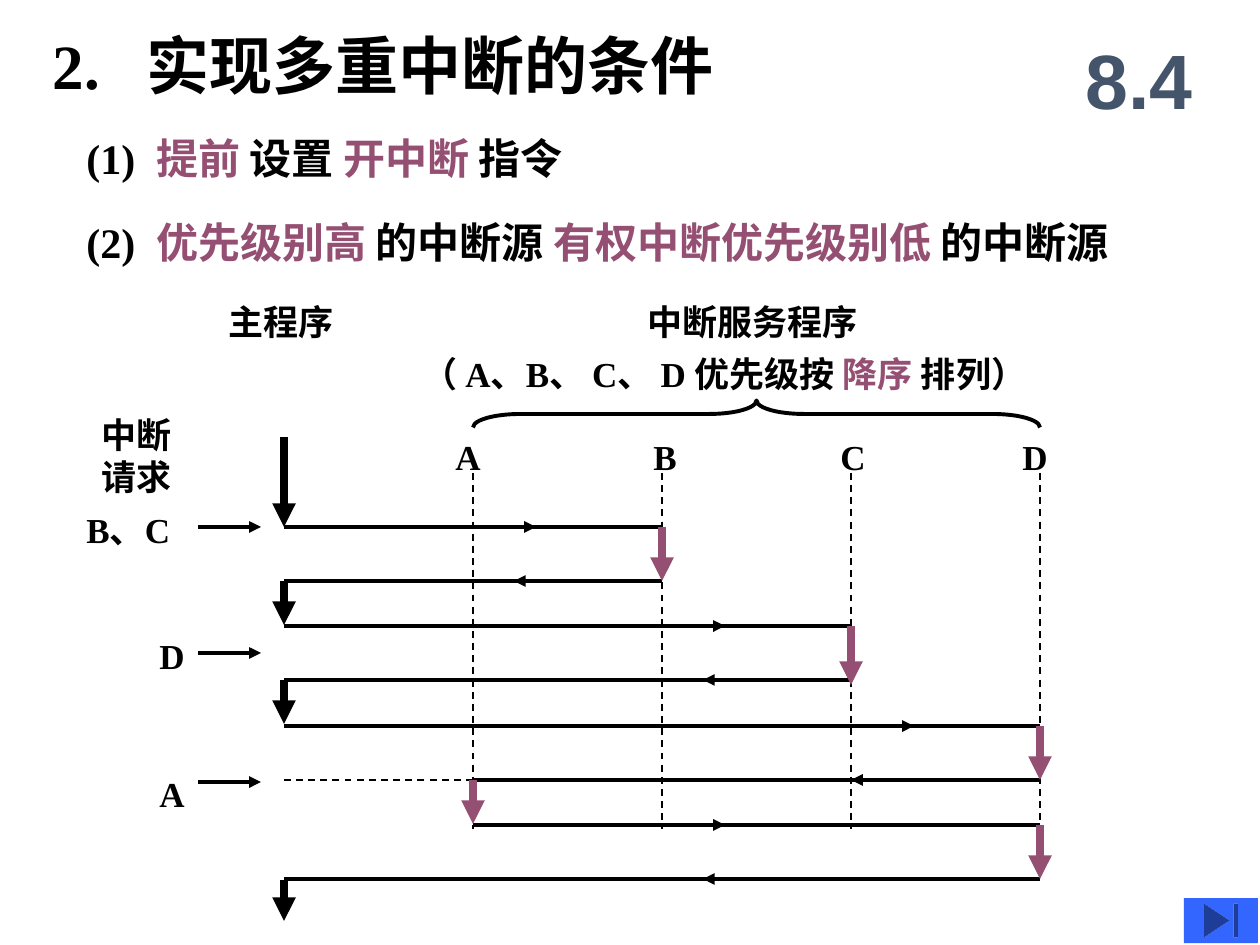
from lxml.etree import SubElement
from pptx import Presentation
from pptx.dml.color import RGBColor
from pptx.enum.dml import MSO_LINE
from pptx.enum.shapes import MSO_CONNECTOR, MSO_SHAPE
from pptx.enum.text import MSO_ANCHOR, MSO_AUTO_SIZE, PP_ALIGN
from pptx.oxml.ns import qn
from pptx.util import Pt

COLORS = {"ink": "000000", "accent": "954F72", "section": "44546A", "button": "3366FF"}
SERIF = "Times New Roman"


def px(length):
    return round(length * 914400 / 126)


def color(name):
    return RGBColor.from_string(COLORS[name])


def style(paragraph, size, ink="ink", face=SERIF):
    paragraph.font.name = face
    paragraph.font.size = Pt(size)
    paragraph.font.bold = True
    paragraph.font.color.rgb = color(ink)


def add_tab(paragraph, position):
    stops = SubElement(paragraph._p.get_or_add_pPr(), qn("a:tabLst"))
    SubElement(stops, qn("a:tab"), pos=str(px(position)), algn="l")


def add_text(slide, box, lines, size=20, wrap=False, tab=None):
    """Each line is a list of pieces; every second piece takes the accent colour."""
    frame = slide.shapes.add_textbox(*map(px, box)).text_frame
    frame.word_wrap = wrap
    frame.auto_size = MSO_AUTO_SIZE.SHAPE_TO_FIT_TEXT
    for index, pieces in enumerate(lines):
        paragraph = frame.add_paragraph() if index else frame.paragraphs[0]
        if tab:
            add_tab(paragraph, tab)
        style(paragraph, size)
        for order, piece in enumerate(pieces):
            run = paragraph.add_run()
            run.text = piece
            if order % 2:
                run.font.color.rgb = color("accent")
    return frame


def add_line(slide, start, end, width=2.25, ink="ink", arrow=False, dashed=False):
    line = slide.shapes.add_connector(MSO_CONNECTOR.STRAIGHT, *map(px, start + end))
    line.line.width = Pt(width)
    line.line.color.rgb = color(ink)
    if dashed:
        line.line.dash_style = MSO_LINE.DASH
    if arrow:
        SubElement(line.line._get_or_add_ln(), qn("a:tailEnd"), type="triangle")
    SubElement(line._element.spPr, qn("a:effectLst"))


def add_header(slide, left, top):
    # Slide title
    title = slide.shapes.title
    title.left, title.top, title.width, title.height = map(px, (left, top, 743, 59))
    frame = title.text_frame
    frame.margin_left = frame.margin_right = frame.margin_top = frame.margin_bottom = 0
    frame.word_wrap = False
    frame.auto_size = MSO_AUTO_SIZE.NONE
    frame.vertical_anchor = MSO_ANCHOR.MIDDLE
    frame.text = "2.\t实现多重中断的条件"
    heading = frame.paragraphs[0]
    heading.alignment = PP_ALIGN.LEFT
    add_tab(heading, 94)
    style(heading, 36)

    # Section number
    frame = add_text(slide, (left + 1007, top - 14, 158, 116), [["8.4"]], wrap=True)
    frame.auto_size = MSO_AUTO_SIZE.NONE
    frame.vertical_anchor = MSO_ANCHOR.MIDDLE
    number = frame.paragraphs[0]
    number.alignment = PP_ALIGN.CENTER
    style(number, 44, "section", "Arial")


def add_conditions(slide, left, top, width):
    conditions = [
        ["(1)\t", "提前 ", "设置 ", "开中断 ", "指令"],
        ["(2)\t", "优先级别高 ", "的中断源 ", "有权中断优先级别低 ", "的中断源"],
    ]
    for index, pieces in enumerate(conditions):
        add_text(slide, (left, top + 84 * index, width, 63), [pieces], 24, True, 70)


def add_headings(slide, left, top, column_gap):
    # Program names
    add_text(slide, (left - 68, top, 130, 55), [["主程序"]])
    add_text(slide, (left + 351, top, 236, 55), [["中断服务程序"]])
    add_text(slide, (left + 126, top + 52, 698, 55),
             [["（ A、B、 C、 D 优先级按 ", "降序 ", "排列）"]])

    # Brace over the four service columns
    length, depth = 3 * column_gap, 27
    center_x, center_y = left + 2.5 * column_gap, top + 120
    brace = slide.shapes.add_shape(MSO_SHAPE.LEFT_BRACE, px(center_x - depth / 2),
                                   px(center_y - length / 2), px(depth), px(length))
    brace.rotation = 90
    brace.adjustments[0] = 1.76
    brace.shadow.inherit = False
    brace.fill.background()
    brace.line.color.rgb = color("ink")
    brace.line.width = Pt(2.25)

    # Column letters
    for index, (letter, inset) in enumerate(zip("ABCD", (30, 21, 23, 30)), 1):
        x = left + index * column_gap
        add_text(slide, (x - inset, top + 135, 50, 55), [[letter]])


def add_timeline(slide, left, top, column_gap):
    columns = [left + index * column_gap for index in range(5)]

    # Service columns and the waiting level
    for x in columns[1:]:
        add_line(slide, (x, top + 36), (x, top + 392), 1, dashed=True)
    add_line(slide, (columns[1], top + 343), (left, top + 343), 1, dashed=True)

    # Switches between programs: height, from column, to column, arrow tip
    switches = [
        (90, 0, 2, 252), (144, 2, 0, 230), (189, 0, 3, 441), (243, 3, 0, 419),
        (289, 0, 4, 630), (343, 4, 1, 567), (388, 1, 4, 441), (442, 4, 0, 419),
    ]
    for height, source, target, tip in switches:
        y = top + height
        add_line(slide, (columns[source], y), (columns[target], y))
        tail = tip - 63 if target > source else tip + 63
        add_line(slide, (left + tail, y), (left + tip, y), arrow=True)

    # Running programs: column, start, end
    runs = [
        (0, 0, 90), (2, 90, 144), (0, 144, 188), (3, 189, 248), (0, 243, 287),
        (4, 289, 343), (1, 343, 387), (4, 388, 442), (0, 443, 484),
    ]
    for column, start, end in runs:
        x = columns[column]
        add_line(slide, (x, top + start), (x, top + end), 4.5,
                 "accent" if column else "ink", arrow=True)


def add_requests(slide, left, top):
    add_text(slide, (left + 15, top, 104, 97), [["中断"], ["请求"]])
    # Request, label offset, label width, label height, arrow height
    requests = [("B、C", 0, 130, 95, 120), ("D", 73, 50, 221, 246), ("A", 73, 50, 359, 375)]
    for request, indent, width, label_y, arrow_y in requests:
        add_text(slide, (left + indent, top + label_y, width, 55), [[request]])
        add_line(slide, (left + 124, top + arrow_y), (left + 187, top + arrow_y), arrow=True)


def add_next_button(slide, left, top):
    button = slide.shapes.add_shape(MSO_SHAPE.ACTION_BUTTON_END,
                                    *map(px, (left, top, 74, 45)))
    button.shadow.inherit = False
    button.fill.solid()
    button.fill.fore_color.rgb = color("button")
    button.line.fill.background()


def main():
    presentation = Presentation()
    presentation.slide_width, presentation.slide_height = px(1260), px(945)
    slide = presentation.slides.add_slide(presentation.slide_layouts[5])
    add_header(slide, 53, 35)
    add_conditions(slide, 74, 126, 1123)
    add_headings(slide, 284, 294, 189)
    add_timeline(slide, 284, 437, 189)
    add_requests(slide, 74, 407)
    add_next_button(slide, 1184, 898)
    presentation.save("out.pptx")


if __name__ == "__main__":
    main()
